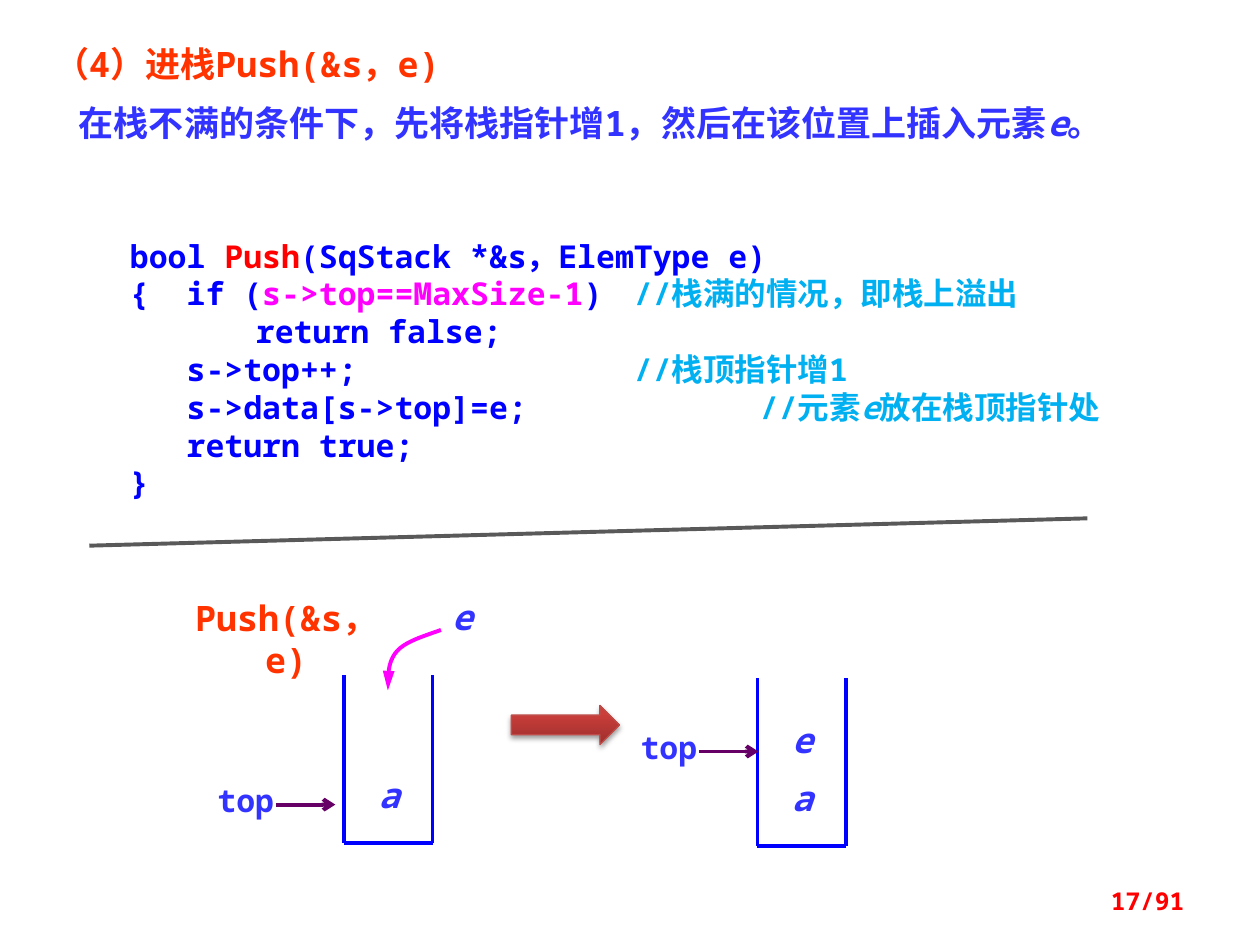
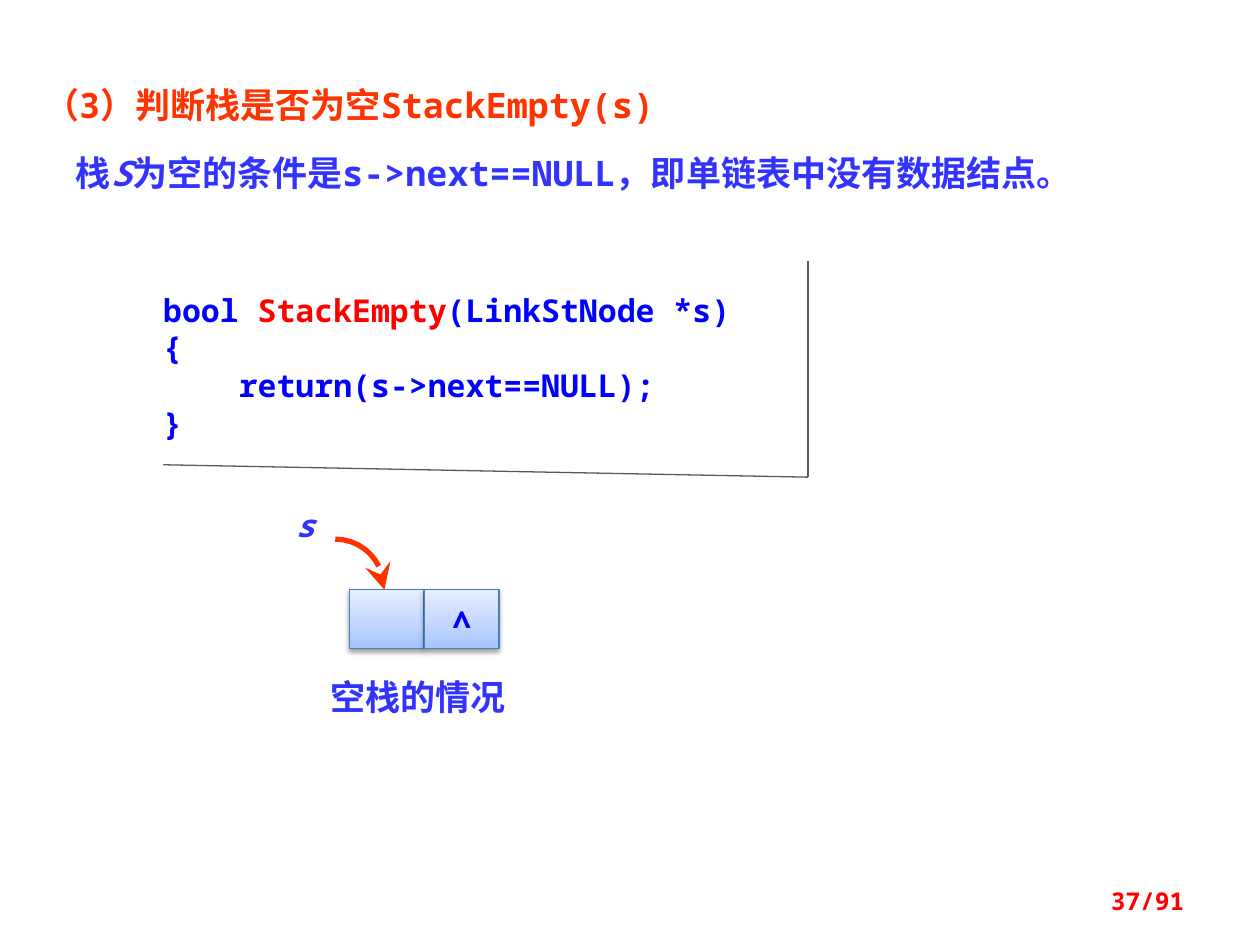
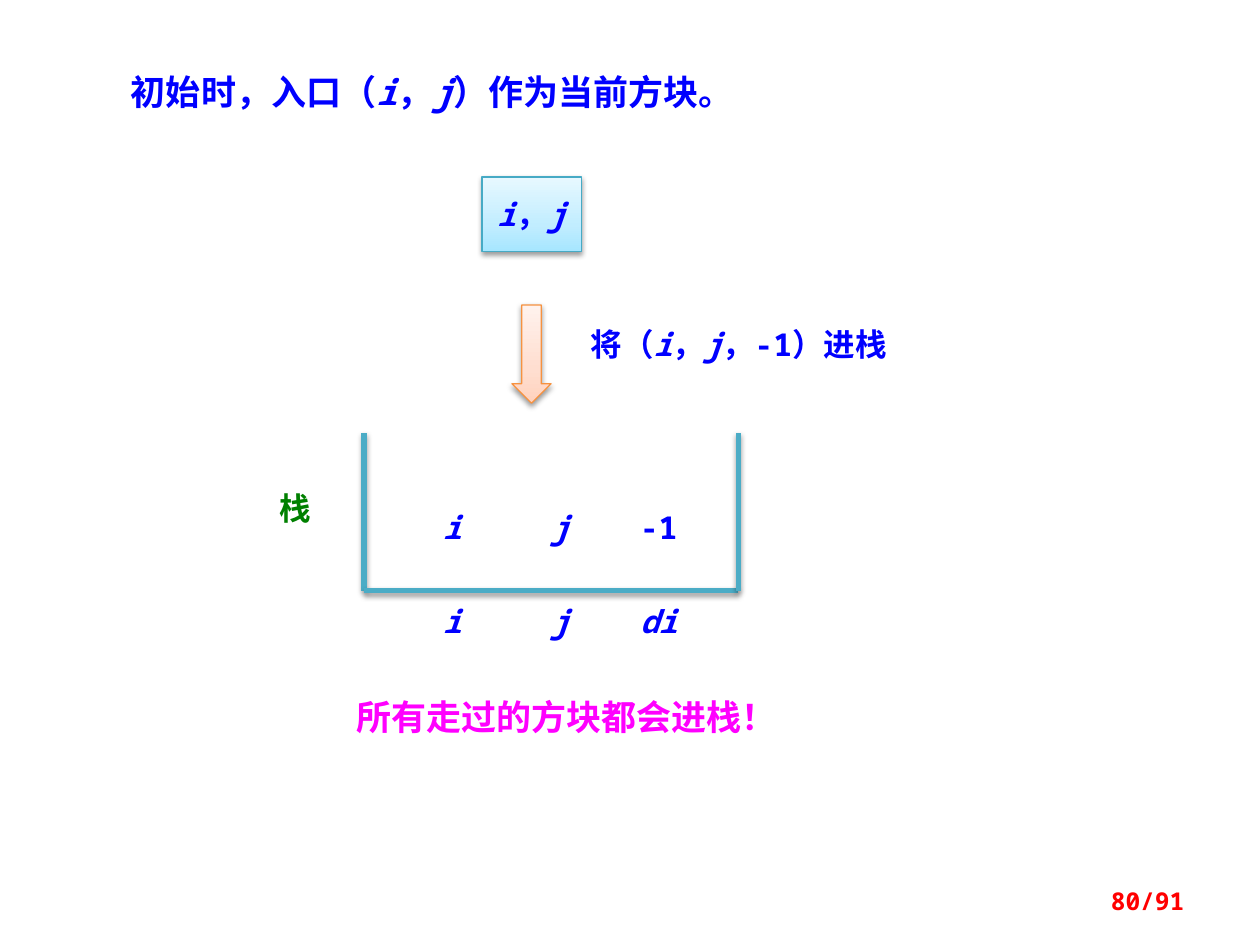
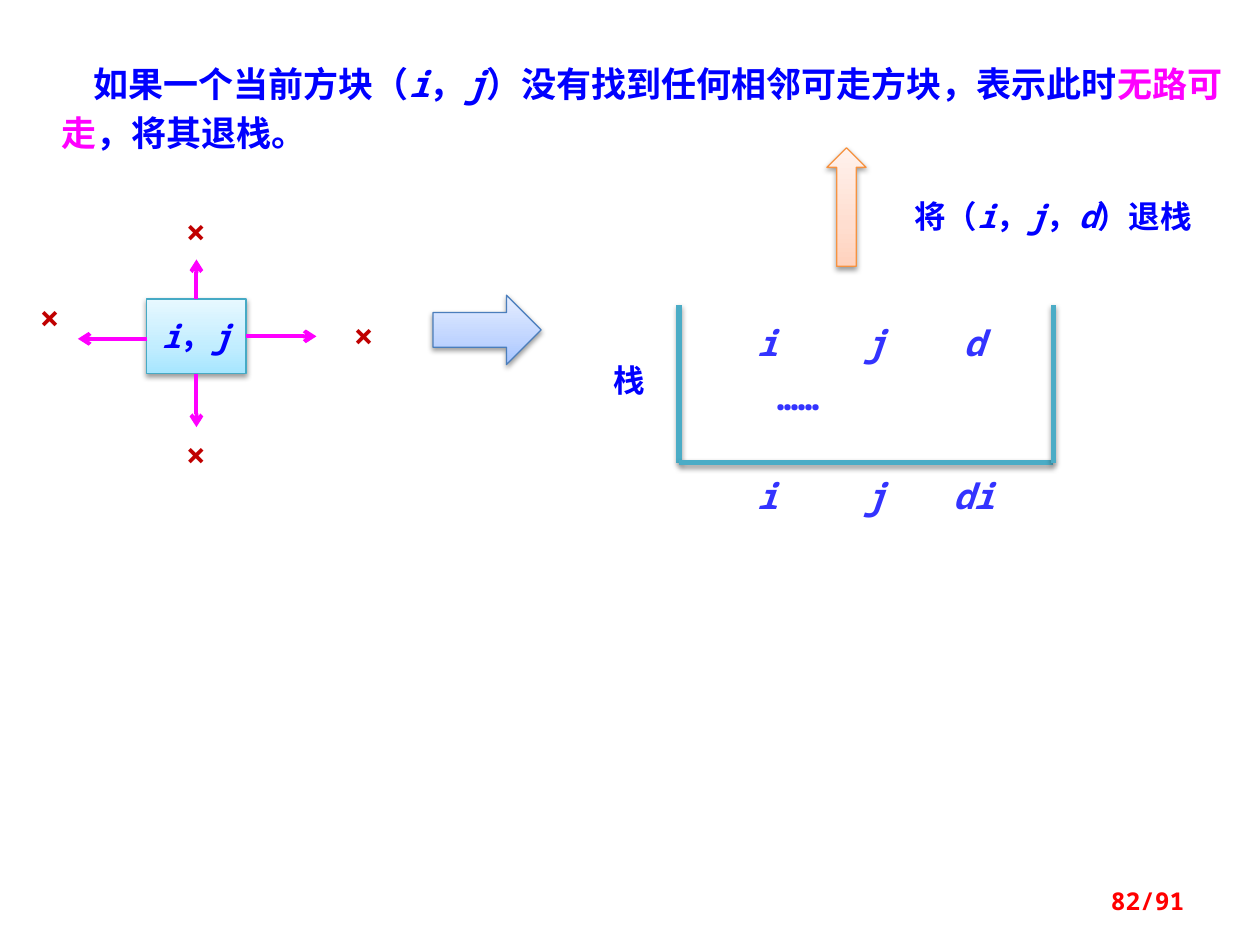
import lxml.etree as etree
import pptx
import pptx.dml.color
import pptx.enum.shapes
import pptx.enum.text
import pptx.oxml.ns
import pptx.util

Cm, Pt = pptx.util.Cm, pptx.util.Pt
qn = pptx.oxml.ns.qn
KIND = pptx.enum.shapes.MSO_SHAPE
ALIGN = pptx.enum.text.PP_ALIGN
ANCHOR = pptx.enum.text.MSO_ANCHOR

HUES = {
    "blue": "0000FF", "indigo": "3333FF", "orange": "FF3300",
    "red": "FF0000", "pink": "FF00FF", "cyan": "00B0F0",
    "plum": "660066", "green": "008000", "cross": "C00000",
    "teal": "4BACC6", "edge": "595959", "white": "FFFFFF",
}
# gradient stops from the bottom up, then the outline colour
SKINS = {
    "red": ([(0, "9C2F2D"), (80, "CB3E3A"), (100, "CE3B37")], "BF4C48"),
    "blue": ([(0, "A4C4FF"), (35, "BFD4FF"), (100, "E6EEFF")], "4B7EBC"),
    "aqua": ([(0, "A7E6FF"), (35, "C1EDFF"), (100, "E7F8FF")], "46AAC5"),
    "peach": ([(0, "FFD2BD"), (35, "FFDED0"), (100, "FFF2ED")], "F69240"),
}
MONO, SANS = "Noto Sans Mono", "Noto Sans CJK SC"
PAGES = 91

# A paragraph is a list of runs; a run is a string or (text, colour and/or "i").
I, J, D = ("i", "i"), ("j", "i"), ("d", "i")
PAIR = [I, "，", J]

PUSH_HEAD = [
    [("（4）进栈Push(&s，e)", "orange")],
    ["在栈不满的条件下，先将栈指针增1，然后在该位置上插入元素", ("e", "i"), "。"],
]
PUSH_CODE = [
    ["bool ", ("Push", "red"), "(SqStack *&s，ElemType e)"],
    ["{  if (", ("s->top==MaxSize-1", "pink"), ") \t",
     ("//栈满的情况，即栈上溢出", "cyan")],
    ["\treturn false;"],
    ["   s->top++;\t\t\t", ("//栈顶指针增1", "cyan")],
    ["   s->data[s->top]=e;\t\t", ("//元素", "cyan"), ("e", "cyan", "i"),
     ("放在栈顶指针处", "cyan")],
    ["   return true;"],
    ["}"],
]
EMPTY_HEAD = [
    [("（3）判断栈是否为空StackEmpty(s)", "orange")],
    ["栈", ("S", "i"), "为空的条件是s->next==NULL，即单链表中没有数据结点。"],
]
EMPTY_CODE = [
    ["bool ", ("StackEmpty", "red"), "(LinkStNode *s)"],
    ["{"],
    ["    return(s->next==NULL);"],
    ["}"],
]
START_HEAD = [["初始时，入口（", *PAIR, "）作为当前方块。"]]
STUCK_HEAD = [["如果一个当前方块（", *PAIR, "）没有找到任何相邻可走方块，表示此时",
               ("无路可走", "pink"), "，将其退栈。"]]
FIELDS = [I, J, ("di", "i")]
COLUMNS = [0.79, 2.97, 4.95]
EXITS = [  # arrow start, arrow end, corner of the cross
    ((4.95, 6.78), (6.38, 6.78), (6.53, 6.22)),
    ((3.96, 7.54), (3.96, 8.61), (3.15, 8.61)),
    ((2.97, 6.83), (1.57, 6.83), (0.2, 5.84)),
    ((3.96, 6.02), (3.96, 5.23), (3.15, 4.11)),
]


def rgb(hue):
    return pptx.dml.color.RGBColor.from_string(HUES.get(hue, hue))


def place(shape, box):
    shape.left, shape.top, shape.width, shape.height = map(Cm, box)


def write(shape, paras, size=18, hue="blue", font=MONO, align=ALIGN.CENTER,
          anchor=ANCHOR.TOP, pad=(0.25, 0.13, 0.25, 0.13), wrap=True,
          pitch=None, gap=0, indents=(), tabs=0):
    """Fill a shape with paragraphs; a plain string is one paragraph."""
    frame = shape.text_frame
    frame.word_wrap = wrap
    frame.auto_size = pptx.enum.text.MSO_AUTO_SIZE.NONE
    frame.vertical_anchor = anchor
    (frame.margin_left, frame.margin_top,
     frame.margin_right, frame.margin_bottom) = map(Cm, pad)
    for n, runs in enumerate([[paras]] if isinstance(paras, str) else paras):
        para = frame.add_paragraph() if n else frame.paragraphs[0]
        para.alignment = align
        para.line_spacing = Pt(pitch or size * 1.2)
        para.space_before = Pt(gap if n else 0)
        props = para._p.get_or_add_pPr()
        if n < len(indents):
            props.set("indent", str(Cm(indents[n])))
        if tabs:
            stops = etree.SubElement(props, qn("a:tabLst"))
            for stop in range(1, tabs + 1):
                etree.SubElement(stops, qn("a:tab"), pos=str(Cm(2.54 * stop)), algn="l")
        for item in runs:
            words, *marks = (item,) if isinstance(item, str) else item
            run = para.add_run()
            run.text = words
            run.font.size, run.font.name, run.font.bold = Pt(size), font, True
            run.font.italic = "i" in marks
            tint = [mark for mark in marks if mark != "i"]
            run.font.color.rgb = rgb(tint[0] if tint else hue)
            etree.SubElement(run._r.get_or_add_rPr(), qn("a:ea"), typeface=font)


def label(slide, box, paras, **style):
    shape = slide.shapes.add_textbox(*map(Cm, box))
    write(shape, paras, **style)


def mark(slide, box, paras, **style):
    """Add a label without margins."""
    label(slide, box, paras, pad=(0, 0, 0, 0), **style)


def shade(shape, drop=True):
    """Replace the theme shadow by a soft one below, or by none."""
    props = shape._element.spPr
    for old in props.findall(qn("a:effectLst")):
        props.remove(old)
    effects = etree.SubElement(props, qn("a:effectLst"))
    if drop:
        outer = etree.SubElement(effects, qn("a:outerShdw"), blurRad=str(Pt(3.1)),
                                 dist=str(Pt(1.6)), dir="5400000", rotWithShape="0")
        color = etree.SubElement(outer, qn("a:srgbClr"), val="000000")
        etree.SubElement(color, qn("a:alpha"), val="38000")


def stroke(shape, hue, width, head=None, broad="med", long="med"):
    shape.line.color.rgb = rgb(hue)
    shape.line.width = Pt(width)
    if head:
        etree.SubElement(shape.line._get_or_add_ln(), qn("a:tailEnd"),
                         type=head, w=broad, len=long)


def line(slide, start, end, hue, width=2.25, head=None, drop=False):
    link = slide.shapes.add_connector(pptx.enum.shapes.MSO_CONNECTOR.STRAIGHT,
                                      *map(Cm, (*start, *end)))
    stroke(link, hue, width, head)
    shade(link, drop)


def block(slide, kind, box, skin):
    """Add a preset shape with a gradient, an outline and a shadow."""
    shape = slide.shapes.add_shape(kind, *map(Cm, box))
    stops, rim = SKINS[skin]
    shape.fill.gradient()
    shape.fill.gradient_angle = 90
    ramp = shape._element.spPr.find(qn("a:gradFill")).find(qn("a:gsLst"))
    for old in list(ramp):
        ramp.remove(old)
    for spot, hue in stops:
        stop = etree.SubElement(ramp, qn("a:gs"), pos=str(spot * 1000))
        etree.SubElement(stop, qn("a:srgbClr"), val=hue)
    stroke(shape, rim, 0.75)
    shade(shape)
    return shape


def curve(slide, start, arcs, hue, width, head, broad="med", steps=10):
    """Draw cubic arcs, each given by two handles and an end point."""
    points, last = [], start
    for arc in arcs:
        knots = (last, *arc)
        for n in range(1, steps + 1):
            t = n / steps
            parts = ((1 - t) ** 3, 3 * t * (1 - t) ** 2, 3 * t * t * (1 - t), t ** 3)
            points.append(tuple(Cm(sum(p * k[axis] for p, k in zip(parts, knots)))
                                for axis in (0, 1)))
        last = arc[-1]
    pen = slide.shapes.build_freeform(Cm(start[0]), Cm(start[1]))
    pen.add_line_segments(points, close=False)
    shape = pen.convert_to_shape()
    shape.fill.background()
    stroke(shape, hue, width, head, broad, long="lg")
    shade(shape, drop=False)


def stack(slide, left, top, wide, high, hue, width, drop=False):
    """Draw a container that is open at the top."""
    right, base = left + wide, top + high
    for start, end in (((left, top), (left, base)), ((left, base), (right, base)),
                       ((right, top), (right, base))):
        line(slide, start, end, hue, width, drop=drop)


def wide_stack(slide, left, top, rows, **style):
    stack(slide, left, top, 7.54, 3.18, "teal", 3, drop=True)
    for y, row in rows:
        for x, item in zip(COLUMNS, row):
            label(slide, (left + x, y, 1.98, 1.12), [[item]], **style)


def pointer(slide, x, y):
    """Label the top of a stack and point at it."""
    mark(slide, (x, y, 2.39, 0.76), "top", hue="indigo")
    line(slide, (x + 1.8, y + 0.47), (x + 3, y + 0.47), "plum", head="arrow")


def square(slide, x, y):
    shape = block(slide, KIND.RECTANGLE, (x, y, 2, 1.5), "aqua")
    write(shape, [PAIR], anchor=ANCHOR.MIDDLE, wrap=False)


def code(slide, box, lines, pad, edges, width):
    shape = slide.shapes.add_shape(KIND.RECTANGLE, *map(Cm, box))
    shape.fill.solid()
    shape.fill.fore_color.rgb = rgb("white")
    shape.line.fill.background()
    shade(shape, drop=False)
    write(shape, lines, align=ALIGN.LEFT, pad=pad, pitch=21.6, tabs=5)
    for start, end in edges:
        line(slide, start, end, "edge", width)


def page(deck, number, box, head, **style):
    """Add a slide with its heading and page number."""
    slide = deck.slides.add_slide(deck.slide_layouts[5])
    place(slide.shapes.title, box)
    write(slide.shapes.title, head, size=20, **style)
    label(slide, (18.21, 17.65, 5.92, 1.02), f"{number}/{PAGES}", size=14,
          hue="red", align=ALIGN.RIGHT, anchor=ANCHOR.MIDDLE)
    return slide


def push(deck):
    slide = page(deck, 17, (0.84, 0.58, 23.93, 2.46), PUSH_HEAD, hue="indigo",
                 align=ALIGN.JUSTIFY, pitch=28, gap=6, indents=(0, 0.5))
    code(slide, (2.21, 4.37, 21.21, 6.3), PUSH_CODE, (0.41, 0.4, 0.25, 0.5),
         [((1.8, 11), (21.92, 10.45))], 2.25)
    for left, top in ((6.93, 13.61), (15.27, 13.67)):
        stack(slide, left, top, 1.79, 3.38, "blue", 2.25)
    for x, y, name in ((7.04, 15.6, "a"), (8.51, 12.01, "e"),
                       (15.37, 14.48, "e"), (15.37, 15.65, "a")):
        mark(slide, (x, y, 1.6, 0.86), [[(name, "i")]], size=20, hue="indigo")
    curve(slide, (8.89, 12.7), [((8.53, 12.83), (8.18, 12.93), (8, 13.13)),
                                ((7.82, 13.34), (7.82, 13.61), (7.82, 13.92))],
          "pink", 2.25, "triangle")
    pointer(slide, 3.76, 15.75)
    pointer(slide, 12.29, 14.68)
    block(slide, KIND.RIGHT_ARROW, (10.31, 14.22, 2.18, 0.79), "red")
    label(slide, (3.38, 11.9, 4.78, 1.12), "Push(&s，e)", size=20, hue="orange")


def empty(deck):
    slide = page(deck, 37, (0.64, 1.4, 23.5, 2.74), EMPTY_HEAD, hue="indigo",
                 align=ALIGN.JUSTIFY, pitch=28.5, gap=10, indents=(0, 0.64))
    corner = (16.29, 9.62)
    code(slide, (2.5, 5.36, 13.79, 4.09), EMPTY_CODE, (0.79, 0.5, 0.79, 0.5),
         [((3.29, 9.37), corner), ((16.29, 5.26), corner)], 0.75)
    for n, sign in enumerate(("", "∧")):
        cell = block(slide, KIND.RECTANGLE, (7.04 + 1.52 * n, 11.89, 1.5, 1.19), "blue")
        if sign:
            write(cell, sign, anchor=ANCHOR.MIDDLE, wrap=False)
    curve(slide, (6.76, 10.87), [((7.32, 10.87), (7.75, 11.33), (7.75, 11.89))],
          "orange", 3, "stealth", broad="lg")
    label(slide, (5.56, 10.08, 1.19, 1.02), [[("s", "i")]], hue="indigo")
    label(slide, (6.15, 13.49, 4.57, 1.12), "空栈的情况", size=20, hue="indigo", font=SANS)


def start(deck):
    slide = page(deck, 80, (2.39, 1.3, 14.68, 1.12), START_HEAD, align=ALIGN.LEFT)
    square(slide, 9.72, 3.57)
    wide_stack(slide, 7.34, 8.73, [(12.01, FIELDS), (10.11, [I, J, "-1"])])
    label(slide, (4.75, 9.72, 2.39, 1.02), "栈", hue="green")
    block(slide, KIND.DOWN_ARROW, (10.32, 6.15, 0.79, 1.98), "peach")
    label(slide, (11.51, 6.43, 6.76, 1.02), [["将（", *PAIR, "，-1）进栈"]])
    label(slide, (6.93, 13.89, 9.32, 1.12), "所有走过的方块都会进栈！", size=20,
          hue="pink", align=ALIGN.LEFT)


def stuck(deck):
    slide = page(deck, 82, (0.99, 0.99, 24, 2.18), STUCK_HEAD, align=ALIGN.LEFT,
                 pitch=28, indents=(0.64,))
    square(slide, 2.96, 6.03)
    for near, far, (x, y) in EXITS:
        line(slide, near, far, "pink", head="arrow")
        label(slide, (x, y, 1.6, 1.12), "×", size=20, hue="cross")
    wide_stack(slide, 13.69, 6.15, [(9.43, FIELDS), (6.35, [I, J, D])],
               size=20, hue="indigo")
    label(slide, (11.5, 7.14, 2.39, 1.02), "栈", font=SANS)
    label(slide, (17.85, 3.85, 6.76, 1.02), [["将（", *PAIR, "，", D, "）退栈"]])
    block(slide, KIND.UP_ARROW, (16.67, 2.98, 0.79, 2.39), "peach")
    block(slide, KIND.RIGHT_ARROW, (8.73, 5.95, 2.18, 1.4), "blue")
    label(slide, (14.3, 7.44, 3.58, 1.12), "……", size=20, hue="indigo")


def main():
    deck = pptx.Presentation()
    deck.slide_width, deck.slide_height = Cm(25.4), Cm(19.05)
    for build in (push, empty, start, stuck):
        build(deck)
    deck.save("out.pptx")


if __name__ == "__main__":
    main()
